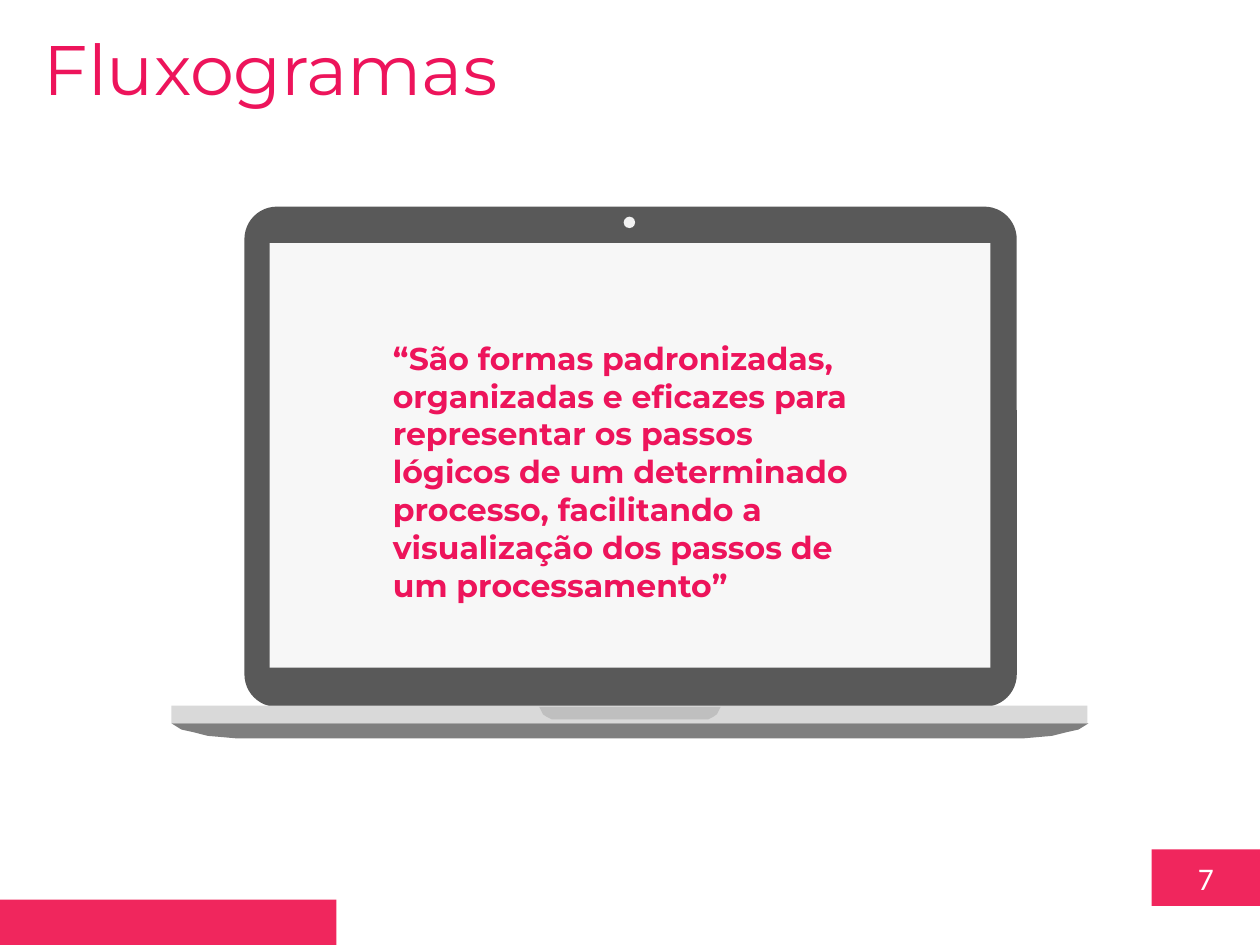
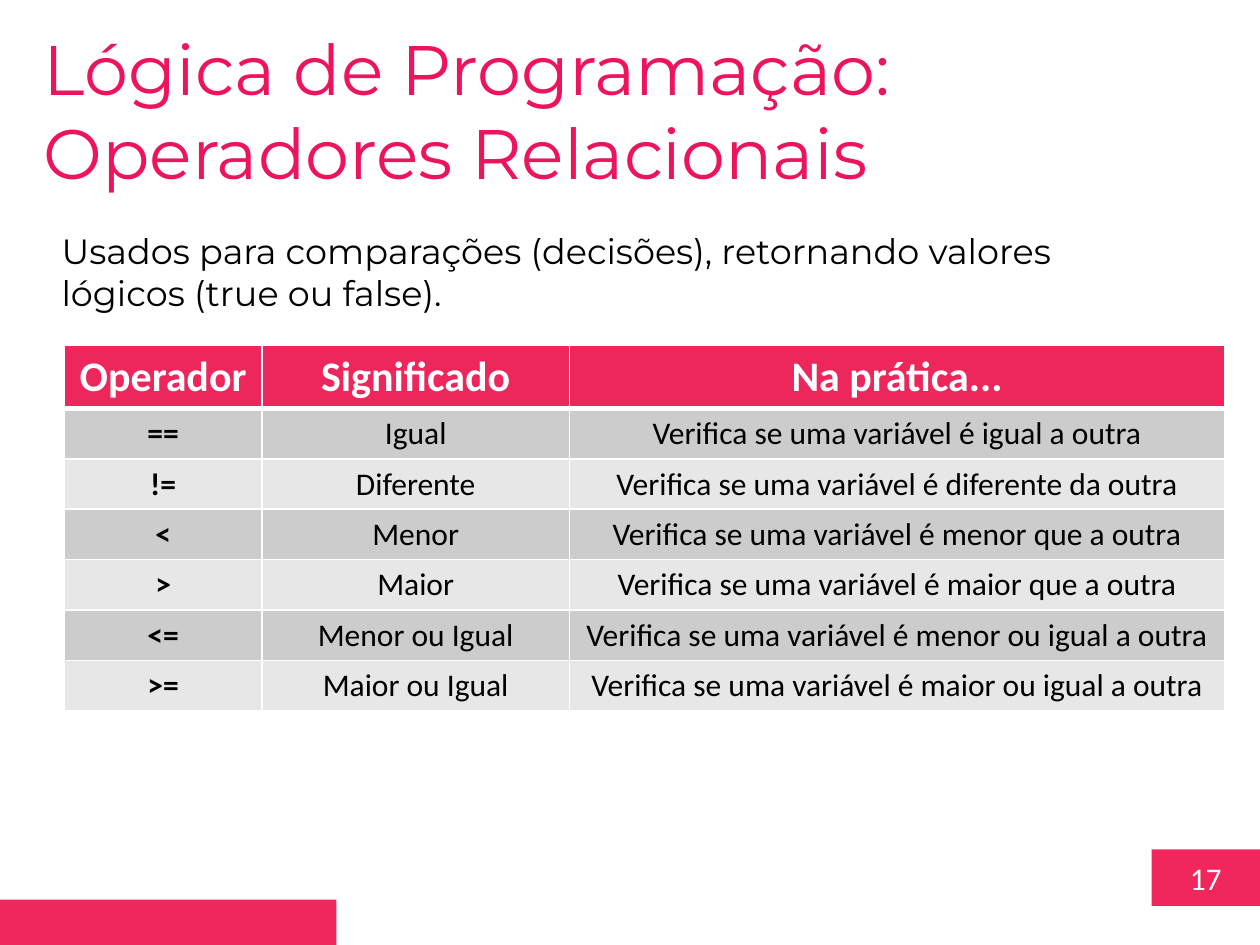
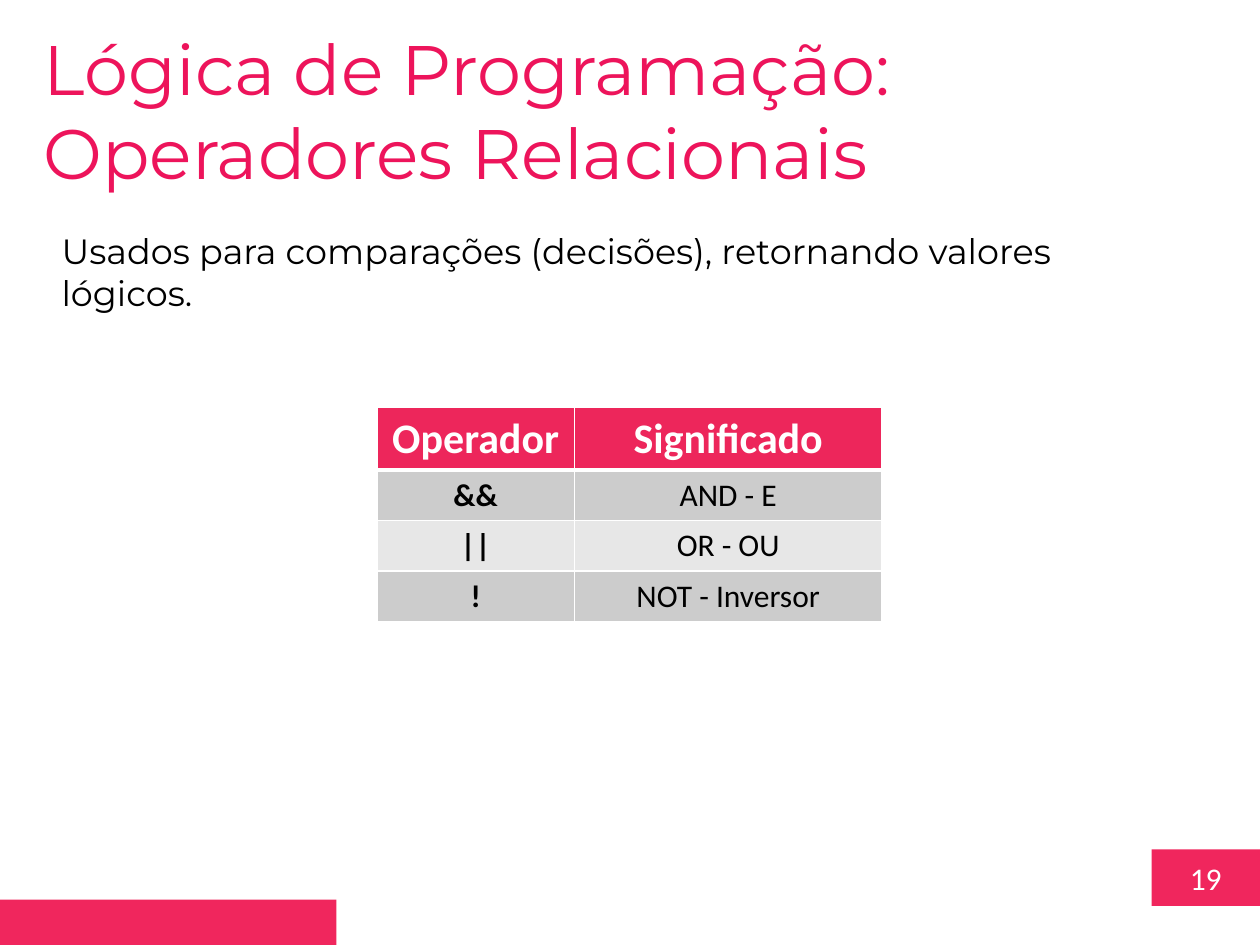
from lxml import etree
from pptx import Presentation
from pptx import util as u
from pptx.dml.color import RGBColor
from pptx.enum import shapes, text
from pptx.oxml import ns

# Shared style
BAND = "F0265D"
PINK = "ED145B"
HEADER = "ED265B"
ROWS = ("CCCCCC", "E7E7E7")
WHITE = "FFFFFF"
BLACK = "000000"
TITLE_FONT = "Montserrat"
TABLE_FONT = "Calibri"
RECT = shapes.MSO_SHAPE.RECTANGLE
MIDDLE = text.MSO_ANCHOR.MIDDLE
COLUMNS = (1.57, 2.44, 5.2)
HEADER_HEIGHT, ROW_HEIGHT = 0.5, 0.4

RELATIONAL = [
    ("Operador", "Significado", "Na prática..."),
    ("==", "Igual", "Verifica se uma variável é igual a outra"),
    ("!=", "Diferente", "Verifica se uma variável é diferente da outra"),
    ("<", "Menor", "Verifica se uma variável é menor que a outra"),
    (">", "Maior", "Verifica se uma variável é maior que a outra"),
    ("<=", "Menor ou Igual", "Verifica se uma variável é menor ou igual a outra"),
    (">=", "Maior ou Igual", "Verifica se uma variável é maior ou igual a outra"),
]
LOGICAL = [
    ("Operador", "Significado"),
    ("&&", "AND - E"),
    ("||", "OR - OU"),
    ("!", "NOT - Inversor"),
]


def rgb(value):
    return RGBColor.from_string(value)


def inches(*values):
    return [u.Inches(v) for v in values]


def write(tf, content, size, font, color, bold=False, centered=False):
    p = tf.paragraphs[0]
    p.text = content
    p.alignment = text.PP_ALIGN.CENTER if centered else text.PP_ALIGN.LEFT
    p.font.size = u.Pt(size)
    p.font.name = font
    p.font.bold = bold
    p.font.color.rgb = rgb(color)


def paint(shape, color):
    shape.shadow.inherit = False
    shape.fill.solid()
    shape.fill.fore_color.rgb = rgb(color)
    shape.line.fill.background()


def add_block(parent, kind, box, color):
    sp = parent.shapes.add_shape(kind, *inches(*box))
    paint(sp, color)
    return sp


def add_text(parent, box, content, size, color, bold=False):
    tf = parent.shapes.add_textbox(*inches(*box)).text_frame
    tf.word_wrap = True
    write(tf, content, size, TITLE_FONT, color, bold)


def add_symmetric(parent, right_side, color, center=5):
    """Outline whose right half, from top to bottom, is mirrored to the left."""
    left_side = [(2 * center - x, y) for x, y in reversed(right_side)]
    points = [tuple(inches(*point)) for point in right_side + left_side]
    builder = parent.shapes.build_freeform(*points[0])
    builder.add_line_segments(points[1:], close=True)
    paint(builder.convert_to_shape(), color)


# Slide frame: page number, bottom band, title
def add_slide(prs, number, title, title_box):
    s = prs.slides.add_slide(prs.slide_layouts[6])
    tf = add_block(s, RECT, (9.14, 6.74, 0.86, 0.45), BAND).text_frame
    tf.vertical_anchor = MIDDLE
    write(tf, number, 18, TABLE_FONT, WHITE, centered=True)
    add_block(s, RECT, (0, 7.14, 2.67, 0.36), BAND)
    add_text(s, title_box, title, 40, PINK)
    return s


# Laptop with a quotation on its screen
def add_laptop(s, quote):
    laptop = s.shapes.add_group_shape()
    lid = add_block(laptop, shapes.MSO_SHAPE.ROUNDED_RECTANGLE,
                    (1.94, 1.64, 6.13, 3.97), "595959")
    lid.adjustments[0] = 0.065
    add_block(laptop, RECT, (2.14, 1.93, 5.72, 3.37), "F7F7F7")
    add_block(laptop, RECT, (1.36, 5.6, 7.27, 0.14), "D9D9D9")
    add_block(laptop, shapes.MSO_SHAPE.OVAL, (4.95, 1.72, 0.09, 0.09), "F2F2F2")
    base = [(8.64, 5.74), (8.56, 5.79), (8.47, 5.81), (8.35, 5.84), (8.12, 5.86)]
    notch = [(5.72, 5.61), (5.7, 5.65), (5.69, 5.67), (5.66, 5.69), (5.62, 5.71)]
    add_symmetric(laptop, base, "7F7F7F")
    add_symmetric(laptop, notch, "BFBFBF")
    add_text(laptop, (3.02, 2.64, 3.96, 2.22), quote, 18, PINK, bold=True)


# Operator tables
def set_borders(cell, top=1, bottom=1):
    tc_pr = cell._tc.get_or_add_tcPr()
    widths = {"lnL": 1, "lnR": 1, "lnT": top, "lnB": bottom}
    for i, (side, width) in enumerate(widths.items()):
        line = etree.Element(ns.qn("a:" + side), w=str(u.Pt(width)))
        fill = etree.SubElement(line, ns.qn("a:solidFill"))
        etree.SubElement(fill, ns.qn("a:srgbClr"), val=WHITE)
        tc_pr.insert(i, line)


def add_operators(s, left, top, rows):
    widths = COLUMNS[:len(rows[0])]
    height = HEADER_HEIGHT + ROW_HEIGHT * (len(rows) - 1)
    table = s.shapes.add_table(len(rows), len(widths),
                               *inches(left, top, sum(widths), height)).table
    table.first_row = table.horz_banding = False
    for column, width in zip(table.columns, widths):
        column.width = u.Inches(width)
    for i, row in enumerate(rows):
        header = i == 0
        table.rows[i].height = u.Inches(HEADER_HEIGHT if header else ROW_HEIGHT)
        for j, content in enumerate(row):
            cell = table.cell(i, j)
            cell.fill.solid()
            cell.fill.fore_color.rgb = rgb(HEADER if header else ROWS[(i - 1) % 2])
            set_borders(cell, top=3 if i == 1 else 1, bottom=3 if header else 1)
            if not header:
                cell.vertical_anchor = MIDDLE
            write(cell.text_frame, content, 24 if header else 18, TABLE_FONT,
                  WHITE if header else BLACK, bold=header or j == 0, centered=True)


def add_operator_slide(prs, number, intro, left, top, rows):
    s = add_slide(prs, number, "Lógica de Programação: Operadores Relacionais",
                  (0.25, 0.15, 6.92, 1.45))
    add_operators(s, left, top, rows)
    add_text(s, (0.39, 1.77, 9.09, 0.77), intro, 20, BLACK)


def main():
    prs = Presentation()
    prs.slide_width, prs.slide_height = inches(10, 7.5)

    s = add_slide(prs, "7", "Fluxogramas", (0.25, 0.15, 7.9, 0.77))
    add_laptop(s, "“São formas padronizadas, organizadas e eficazes para representar "
                  "os passos lógicos de um determinado processo, facilitando a "
                  "visualização dos passos de um processamento”")

    intro = "Usados para comparações (decisões), retornando valores lógicos"
    add_operator_slide(prs, "17", intro + " (true ou false).", 0.51, 2.74, RELATIONAL)
    add_operator_slide(prs, "19", intro + ".", 2.99, 3.23, LOGICAL)

    prs.save("out.pptx")


if __name__ == "__main__":
    main()
